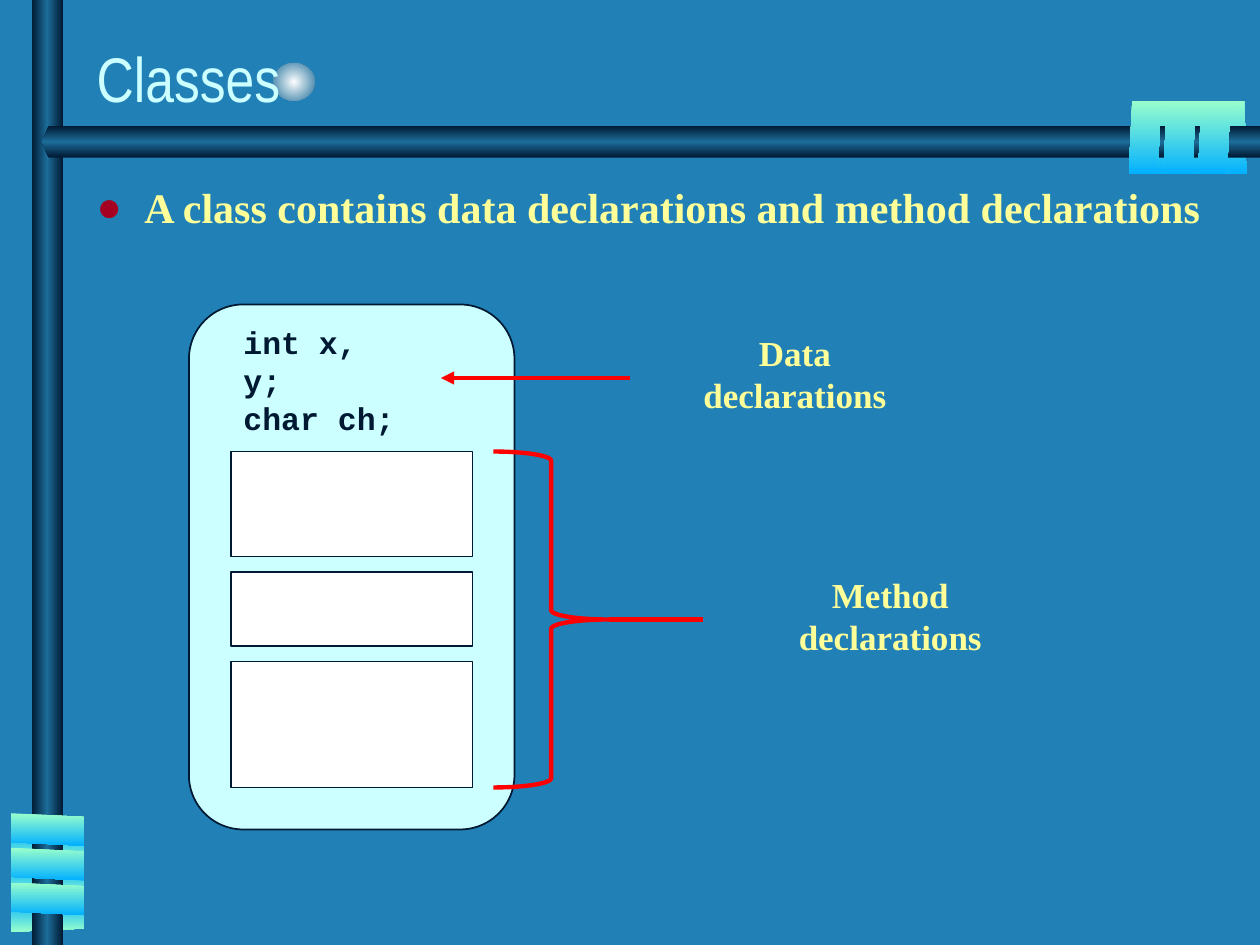
from pptx import Presentation
from pptx.dml.color import RGBColor
from pptx.enum.shapes import MSO_CONNECTOR, MSO_SHAPE
from pptx.enum.text import MSO_ANCHOR, MSO_AUTO_SIZE, PP_ALIGN
from pptx.oxml import parse_xml
from pptx.oxml.ns import nsdecls
from pptx.oxml.xmlchemy import OxmlElement
from pptx.util import Inches, Pt

COLUMNS, ROWS = 120, 90
CELL = Inches(10) / COLUMNS

BACKGROUND = RGBColor(0x21, 0x81, 0xB7)
NAVY = RGBColor(0x00, 0x19, 0x32)
STEEL = RGBColor(0x1C, 0x6D, 0x9A)
MINT = RGBColor(0x99, 0xFF, 0xCC)
SKY = RGBColor(0x01, 0xB0, 0xFF)
GLOW = RGBColor(0xFE, 0xFF, 0xFF)
ICE = RGBColor(0xCC, 0xFF, 0xFF)
WHITE = RGBColor(0xFF, 0xFF, 0xFF)
YELLOW = RGBColor(0xFF, 0xFF, 0x99)
RED = RGBColor(0xFF, 0x00, 0x00)
CRIMSON = RGBColor(0xA5, 0x00, 0x21)

SERIF = "Times New Roman"


def grid(*cells):
    return [round(cell * CELL) for cell in cells]


def add_shape(slide, kind, box, fill=None, line=None, width=1, adjustment=None):
    shape = slide.shapes.add_shape(kind, *grid(*box))
    shape.shadow.inherit = False
    if fill is None:
        shape.fill.background()
    else:
        shape.fill.solid()
        shape.fill.fore_color.rgb = fill
    if line is None:
        shape.line.fill.background()
    else:
        shape.line.color.rgb = line
        shape.line.width = Pt(width)
    if adjustment is not None:
        shape.adjustments[0] = adjustment
    return shape


def fill_gradient(shape, colors, angle=None):
    """Spread colors evenly, clockwise from angle, or outward from the centre without one."""
    stops = "".join(
        f'<a:gs pos="{100000 * i // (len(colors) - 1)}"><a:srgbClr val="{color}"/></a:gs>'
        for i, color in enumerate(colors))
    if angle is None:
        direction = ('<a:path path="circle"><a:fillToRect l="50000" t="50000" '
                     'r="50000" b="50000"/></a:path>')
    else:
        direction = f'<a:lin ang="{angle * 60000}" scaled="0"/>'
    gradient = parse_xml(f'<a:gradFill {nsdecls("a")} rotWithShape="1">'
                         f'<a:gsLst>{stops}</a:gsLst>{direction}</a:gradFill>')
    properties = shape._element.spPr
    properties.replace(properties.find(".//{*}noFill"), gradient)


def add_stripes(slide, box, step, colors, angle, rotation=0, flipped=False):
    """Add three slanted stripes, each shifted by step (columns, rows)."""
    left, top, width, height = box
    for i in range(3):
        place = (left + i * step[0], top + i * step[1], width, height)
        stripe = add_shape(slide, MSO_SHAPE.PARALLELOGRAM, place, adjustment=0.11)
        fill_gradient(stripe, colors, angle)
        stripe.rotation = rotation
        if flipped:
            stripe._element.spPr.xfrm.set("flipH", "1")


def add_decoration(slide):
    across, down = (3.3, 0), (0, 3.3)
    pipe = (NAVY, STEEL, NAVY)
    dot = add_shape(slide, MSO_SHAPE.OVAL, (26, 6, 4, 3.6))
    fill_gradient(dot, (GLOW, STEEL))
    add_stripes(slide, (109.3, 9.6, 2.9, 7), across, (SKY, MINT), 90, 180, True)
    add_stripes(slide, (3.1, 77.2, 2.9, 7), down, (SKY, MINT), 180, 90, True)
    upright = add_shape(slide, MSO_SHAPE.RECTANGLE, (3, 0, 3, ROWS))
    fill_gradient(upright, pipe, 180)
    crossbar = add_shape(slide, MSO_SHAPE.PENTAGON, (4, 12, COLUMNS - 4, 3), adjustment=0.21)
    fill_gradient(crossbar, pipe, 90)
    crossbar._element.spPr.xfrm.set("flipH", "1")
    add_stripes(slide, (3, 75.5, 3.1, 7), down, (MINT, SKY), 180, 270)
    add_stripes(slide, (107.5, 9.6, 3.1, 7), across, (MINT, SKY), 90)


def write(paragraph, text, font, size, color, bold=True, align=PP_ALIGN.LEFT):
    paragraph.alignment = align
    run = paragraph.add_run()
    run.text = text
    run.font.name = font
    run.font.size = Pt(size)
    run.font.bold = bold
    run.font.color.rgb = color


def place_placeholder(slide, placeholder, box, anchor):
    """Position a placeholder in front of the shapes added so far."""
    placeholder.left, placeholder.top, placeholder.width, placeholder.height = grid(*box)
    placeholder.text_frame.auto_size = MSO_AUTO_SIZE.NONE
    placeholder.text_frame.vertical_anchor = anchor
    slide.shapes._spTree.append(placeholder._element)
    return placeholder.text_frame.paragraphs[0]


def add_bullet(paragraph):
    properties = paragraph._p.get_or_add_pPr()
    properties.set("marL", str(Inches(0.38)))
    properties.set("indent", str(-Inches(0.38)))
    bullet_color = OxmlElement("a:buClr")
    swatch = OxmlElement("a:srgbClr")
    swatch.set("val", str(CRIMSON))
    bullet_color.append(swatch)
    bullet = OxmlElement("a:buChar")
    bullet.set("char", "●")
    properties.append(bullet_color)
    properties.append(bullet)
    paragraph.space_before = Pt(0)


def add_text(slide, box, lines, font, size, color, align=PP_ALIGN.LEFT):
    frame = slide.shapes.add_textbox(*grid(*box)).text_frame
    frame.word_wrap = True
    frame.auto_size = MSO_AUTO_SIZE.SHAPE_TO_FIT_TEXT
    frame.vertical_anchor = MSO_ANCHOR.MIDDLE
    for i, line in enumerate(lines):
        paragraph = frame.add_paragraph() if i else frame.paragraphs[0]
        write(paragraph, line, font, size, color, align=align)


def add_line(slide, start, end, arrow=False):
    connector = slide.shapes.add_connector(MSO_CONNECTOR.STRAIGHT, *grid(*start, *end))
    connector.line.color.rgb = RED
    connector.line.width = Pt(2.5)
    if arrow:
        head = OxmlElement("a:tailEnd")
        head.set("type", "triangle")
        connector.line._get_or_add_ln().append(head)
    connector._element.spPr.append(OxmlElement("a:effectLst"))


def add_class_diagram(slide):
    add_shape(slide, MSO_SHAPE.FLOWCHART_ALTERNATE_PROCESS, (18, 29, 31, 50), ICE, NAVY)
    for top, height in ((43, 10), (54.5, 7), (63, 12)):
        add_shape(slide, MSO_SHAPE.RECTANGLE, (22, top, 23, height), WHITE, NAVY)
    add_text(slide, (22, 32, 18, 8.4), ("int x, y;", "char ch;"), "Courier New", 18, NAVY)
    for label, box in (("Data declarations", (62.2, 33, 27, 5.2)),
                       ("Method declarations", (69.2, 56, 31.2, 5.2))):
        add_text(slide, box, (label,), SERIF, 20, YELLOW, PP_ALIGN.CENTER)
    add_line(slide, (60, 36), (42, 36), arrow=True)
    add_shape(slide, MSO_SHAPE.RIGHT_BRACE, (47, 43, 11, 32), line=RED, width=2.5,
              adjustment=0.08)
    add_line(slide, (67, 59), (58, 59))


def main():
    presentation = Presentation()
    presentation.slide_width, presentation.slide_height = grid(COLUMNS, ROWS)
    slide = presentation.slides.add_slide(presentation.slide_layouts[1])
    slide.background.fill.solid()
    slide.background.fill.fore_color.rgb = BACKGROUND
    add_decoration(slide)

    title = place_placeholder(slide, slide.shapes.title, (8, 2.6, 99.6, 9), MSO_ANCHOR.BOTTOM)
    write(title, "Classes", "Arial Narrow", 36, ICE, bold=False)
    statement = place_placeholder(slide, slide.placeholders[1], (8, 16.7, 109, 64.3),
                                  MSO_ANCHOR.TOP)
    add_bullet(statement)
    write(statement, "A class contains data declarations and method declarations",
          SERIF, 24, YELLOW)

    add_class_diagram(slide)
    presentation.save("out.pptx")


if __name__ == "__main__":
    main()
